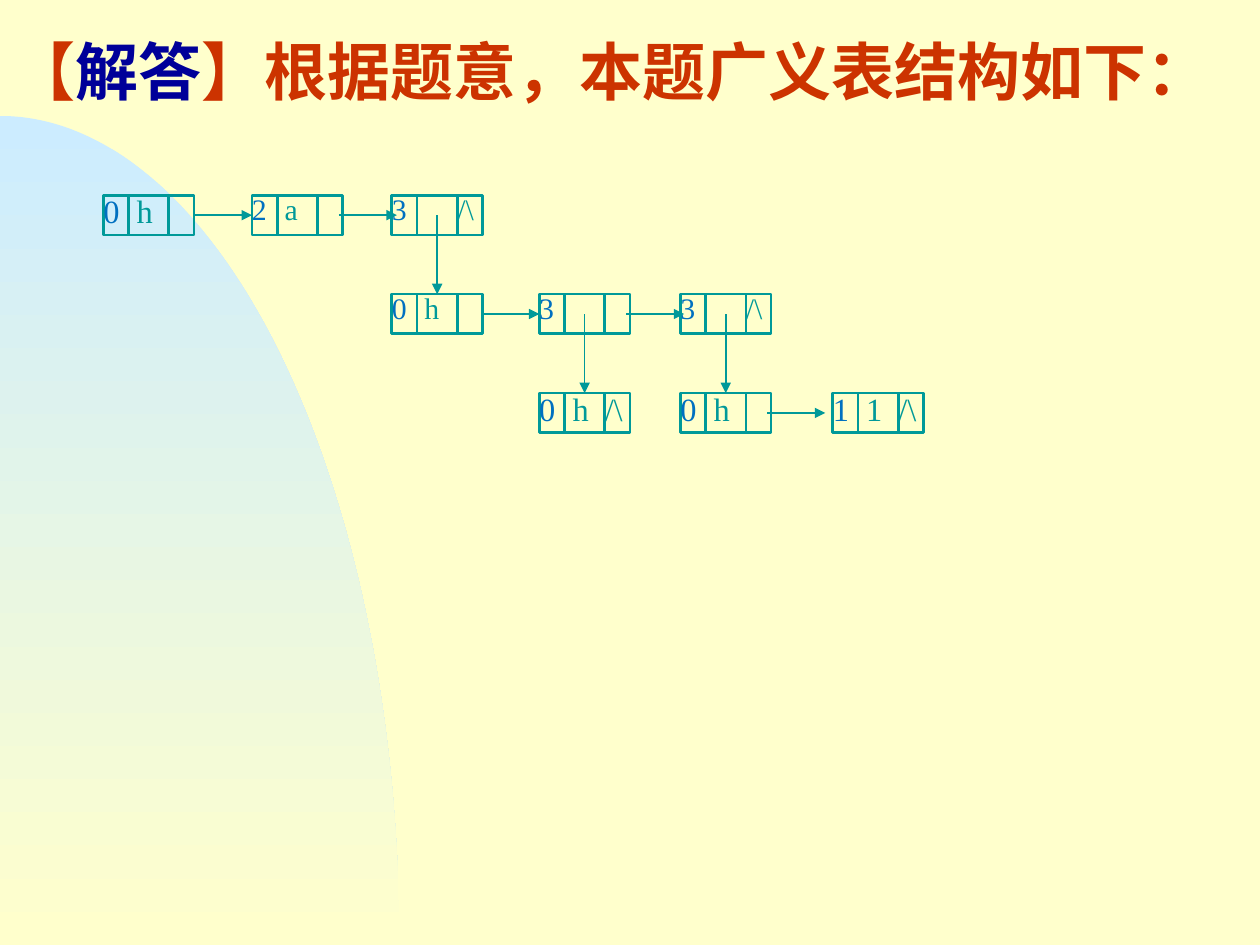
"""Build a slide showing the linked storage structure of a generalized list."""
from math import cos, pi, sin

from lxml import etree
from pptx import Presentation
from pptx.dml.color import RGBColor
from pptx.enum.shapes import MSO_CONNECTOR, MSO_SHAPE
from pptx.enum.text import MSO_ANCHOR, MSO_AUTO_SIZE, PP_ALIGN
from pptx.oxml.ns import qn
from pptx.util import Inches, Pt

RECTANGLE = MSO_SHAPE.RECTANGLE
STRAIGHT = MSO_CONNECTOR.STRAIGHT
TOP = MSO_ANCHOR.TOP
LEFT = PP_ALIGN.LEFT
NO_FIT = MSO_AUTO_SIZE.NONE
TOP_SIDE, LEFT_SIDE, RIGHT_SIDE = 0, 1, 3

THEME = {
    "font": "Times New Roman",
    "paper": RGBColor.from_string("FFFFCC"),
    "sky": RGBColor.from_string("CCECFF"),
    "heading": RGBColor.from_string("CC3300"),
    "answer": RGBColor.from_string("000099"),
    "tag": RGBColor.from_string("0070C0"),
    "node": RGBColor.from_string("009999"),
    "heading_size": Pt(36),
    "large": Pt(18.5),
    "small": Pt(17),
    "border": Pt(1.5),
    "arrow": Pt(1),
}

COLUMNS = [0.82, 2, 3.11, 4.28, 5.4, 6.61]
FIRST_ROW, ROW_STEP, CELL_HEIGHT = 1.55, 0.785, 0.315
FIELDS = [(0, 0.2, "tag"), (0.2, 0.32, "node"), (0.52, 0.2, "node")]
NODES = [
    (0, 0, "large", ("0", " h", "")),
    (1, 0, "small", ("2", " a", "")),
    (2, 0, "small", ("3", "", "/\\")),
    (2, 1, "small", ("0", " h", "")),
    (3, 1, "small", ("3", "", "")),
    (4, 1, "small", ("3", "", "/\\")),
    (3, 2, "large", ("0", " h", "/\\")),
    (4, 2, "large", ("0", " h", "")),
    (5, 2, "large", ("1", " 1", "/\\")),
]
JOINED_LINKS = [(0, 1), (3, 4)]
INSET_LINKS = [1, 4, 7]
CHILD_LINKS = [(2, 3), (4, 6), (5, 7)]


def write(paragraph, text, color, size, bold=False):
    run = paragraph.add_run()
    run.text = text
    for name, value in {"name": THEME["font"], "size": size, "bold": bold}.items():
        setattr(run.font, name, value)
    run.font.color.rgb = color


def add_arrow(shapes, start, end):
    arrow = shapes.add_connector(STRAIGHT, *start, *end)
    arrow.line.color.rgb = THEME["node"]
    arrow.line.width = THEME["arrow"]
    properties = arrow._element.spPr
    etree.SubElement(properties.find(qn("a:ln")), qn("a:tailEnd"), type="triangle")
    etree.SubElement(properties, qn("a:effectLst"))
    return arrow


deck = Presentation()
deck.slide_width, deck.slide_height = Inches(10), Inches(7.5)
slide = deck.slides.add_slide(deck.slide_layouts[5])
shapes = slide.shapes
slide.background.fill.solid()
slide.background.fill.fore_color.rgb = THEME["paper"]

hill_width, hill_top, steps = 3.17, 0.92, 90
hill_height = 7.5 - hill_top
rim = [
    (Inches(hill_width * sin(step / steps * pi / 2)),
     Inches(7.5 - hill_height * cos(step / steps * pi / 2)))
    for step in range(steps + 1)
]
outline = shapes.build_freeform(*rim[0])
outline.add_line_segments(rim[1:] + [(0, Inches(7.5))], close=True)
hill = outline.convert_to_shape()
hill.shadow.inherit = False
hill.line.fill.background()
hill.fill.gradient()
hill.fill.gradient_angle = 270
for stop, position, color in zip(hill.fill.gradient_stops, (0, 1), ("sky", "paper")):
    stop.position = position
    stop.color.rgb = THEME[color]

heading = shapes.title
heading_box = {"left": 0, "top": 0.21, "width": 9.8, "height": 0.71}
for name, value in heading_box.items():
    setattr(heading, name, Inches(value))
for name, value in {"vertical_anchor": TOP, "auto_size": NO_FIT, "word_wrap": True}.items():
    setattr(heading.text_frame, name, value)
heading_line = heading.text_frame.paragraphs[0]
heading_line.alignment = LEFT
heading_line.space_before = Pt(9)
for text, color in [
    ("【", "heading"),
    ("解答", "answer"),
    ("】根据题意，本题广义表结构如下：", "heading"),
]:
    write(heading_line, text, THEME[color], THEME["heading_size"], True)

cell_frame = {
    "margin_left": 0, "margin_top": 0, "margin_right": 0, "margin_bottom": 0,
    "vertical_anchor": TOP, "word_wrap": True,
}
nodes = []
for column, row, size, texts in NODES:
    cells = []
    for (offset, width, color), text in zip(FIELDS, texts):
        cell = shapes.add_shape(
            RECTANGLE, Inches(COLUMNS[column] + offset),
            Inches(FIRST_ROW + row * ROW_STEP), Inches(width), Inches(CELL_HEIGHT))
        cell.shadow.inherit = False
        cell.fill.background()
        cell.line.color.rgb = THEME["node"]
        cell.line.width = THEME["border"]
        for name, value in cell_frame.items():
            setattr(cell.text_frame, name, value)
        if text:
            label = cell.text_frame.paragraphs[0]
            label.alignment = LEFT
            label.line_spacing = 0.9
            write(label, text, THEME[color], THEME[size])
        cells.append(cell)
    nodes.append(cells)

for source, target in JOINED_LINKS:
    link = add_arrow(shapes, (0, 0), (0, 0))
    link.begin_connect(nodes[source][2], RIGHT_SIDE)
    link.end_connect(nodes[target][0], LEFT_SIDE)

for source in INSET_LINKS:
    pointer = nodes[source][2]
    start = pointer.left + Inches(0.17)
    middle = pointer.top + pointer.height // 2
    add_arrow(shapes, (start, middle), (start + Inches(0.46), middle))

for parent, child in CHILD_LINKS:
    pointer = nodes[parent][1]
    center = (pointer.left + pointer.width // 2, pointer.top + pointer.height // 2)
    link = add_arrow(shapes, center, center)
    link.end_connect(nodes[child][1], TOP_SIDE)

deck.save("out.pptx")
